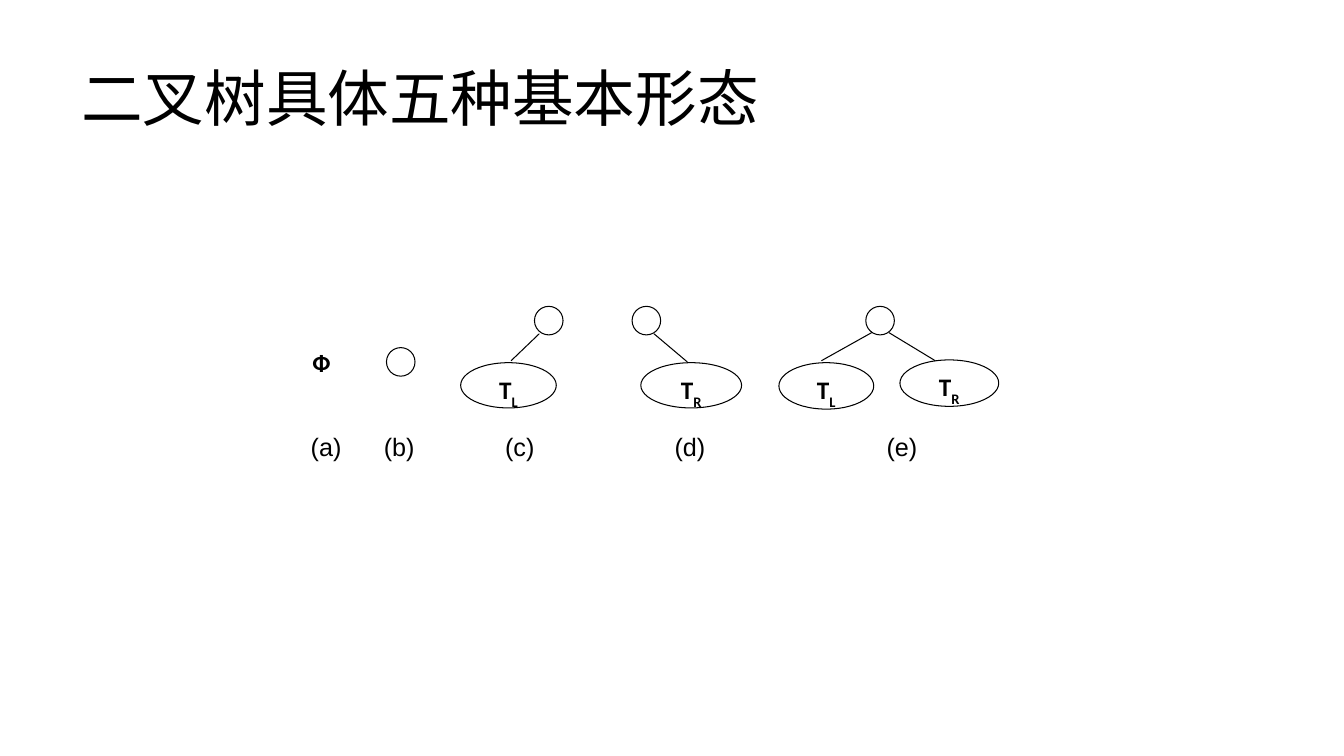
from dataclasses import dataclass

from lxml import etree
from pptx import Presentation
from pptx.dml.color import RGBColor
from pptx.enum.shapes import MSO_CONNECTOR, MSO_SHAPE
from pptx.enum.text import MSO_ANCHOR, PP_ALIGN
from pptx.oxml.ns import qn
from pptx.util import Cm, Pt

OVAL, RECT = MSO_SHAPE.OVAL, MSO_SHAPE.RECTANGLE
STRAIGHT = MSO_CONNECTOR.STRAIGHT
TOP, MIDDLE = MSO_ANCHOR.TOP, MSO_ANCHOR.MIDDLE
LEFT, CENTER = PP_ALIGN.LEFT, PP_ALIGN.CENTER

COLORS = {"ink": "000000", "paper": "FFFFFF"}
TITLE_FONT = {"name": "Arial", "size": Pt(44)}
CAPTION_FONT = {"name": "Arial", "size": Pt(18)}
TREE_FONT = {"name": "Calibri", "size": Pt(18), "bold": True}
NO_INSETS = {"margin_left": 0, "margin_top": 0, "margin_right": 0, "margin_bottom": 0}
LINE_WIDTH = Pt(0.75)
NODE_SIZE = 0.72
CAPTION_LEFT, INSET = 6.88, 0.25


@dataclass
class Box:
    """Place and size in centimetres."""
    left: float
    top: float
    width: float
    height: float

    def lengths(self):
        """Return the four values as slide lengths."""
        return [Cm(v) for v in (self.left, self.top, self.width, self.height)]


@dataclass
class Subtree:
    """An oval that stands for a left or right subtree."""
    box: Box
    side: str


@dataclass
class Branch:
    """A line from a root node down to a subtree."""
    x1: float
    y1: float
    x2: float
    y2: float


@dataclass
class Caption:
    """A form's letter and the centre it stands under."""
    text: str
    center: float


ROOTS = [Box(x, y, NODE_SIZE, NODE_SIZE)
         for x, y in ((9.74, 8.76), (13.47, 7.72), (15.93, 7.72), (21.82, 7.72))]
SUBTREES = [
    Subtree(Box(11.61, 9.14, 2.41, 1.14), "L"),
    Subtree(Box(16.15, 9.14, 2.54, 1.14), "R"),
    Subtree(Box(19.63, 9.14, 2.39, 1.17), "L"),
    Subtree(Box(22.68, 9.07, 2.49, 1.17), "R"),
]
BRANCHES = [
    Branch(13.59, 8.41, 12.88, 9.09),
    Branch(16.48, 8.41, 17.32, 9.12),
    Branch(21.97, 8.38, 20.7, 9.09),
    Branch(22.4, 8.38, 23.57, 9.09),
]
CAPTIONS = [Caption("(a)", 8.22), Caption("(b)", 10.06), Caption("(c)", 13.1),
            Caption("(d)", 17.39), Caption("(e)", 22.73)]


def apply(target, values: dict) -> None:
    """Set every attribute named in values."""
    for name, value in values.items():
        setattr(target, name, value)


def rgb(name: str) -> RGBColor:
    """Look up a colour of the slide."""
    return RGBColor.from_string(COLORS[name])


def add_run(paragraph, text: str, font: dict):
    """Add text in the given font."""
    run = paragraph.add_run()
    run.text = text
    apply(run.font, font)
    run.font.color.rgb = rgb("ink")
    return run


def add_figure(shapes, kind, box: Box, line: str = "ink"):
    """Draw a white outlined shape, ready for text at its top."""
    figure = shapes.add_shape(kind, *box.lengths())
    figure.shadow.inherit = False
    figure.fill.solid()
    figure.fill.fore_color.rgb = rgb("paper")
    figure.line.color.rgb = rgb(line)
    figure.line.width = LINE_WIDTH
    figure.text_frame.vertical_anchor = TOP
    return figure


def add_subtree(shapes, subtree: Subtree) -> None:
    """Draw a subtree oval with its subscripted name."""
    paragraph = add_figure(shapes, OVAL, subtree.box).text_frame.paragraphs[0]
    paragraph.alignment = CENTER
    add_run(paragraph, "T", TREE_FONT)
    side = add_run(paragraph, subtree.side, TREE_FONT)
    side.font._element.set("baseline", "-30000")


def add_branch(shapes, branch: Branch) -> None:
    """Draw a branch without a shadow."""
    ends = [Cm(v) for v in (branch.x1, branch.y1, branch.x2, branch.y2)]
    line = shapes.add_connector(STRAIGHT, *ends)
    line.line.color.rgb = rgb("ink")
    line.line.width = LINE_WIDTH
    etree.SubElement(line._element.spPr, qn("a:effectLst"))


def add_text(shapes, box: Box, text: str, font: dict, anchor):
    """Add a wrapped text box and return its paragraph."""
    frame = shapes.add_textbox(*box.lengths()).text_frame
    apply(frame, {"word_wrap": True, "vertical_anchor": anchor})
    add_run(frame.paragraphs[0], text, font)
    return frame.paragraphs[0]


def add_captions(shapes, captions: list[Caption]) -> None:
    """Write the captions in one row on centred tab stops."""
    row = add_text(shapes, Box(CAPTION_LEFT, 10.74, 18.39, 1.02),
                   "".join("\t" + c.text for c in captions), CAPTION_FONT, TOP)
    stops = etree.SubElement(row._p.get_or_add_pPr(), qn("a:tabLst"))
    for caption in captions:
        position = Cm(caption.center - CAPTION_LEFT - INSET)
        etree.SubElement(stops, qn("a:tab"), pos=str(int(position)), algn="ctr")


def main() -> None:
    """Build the slide."""
    deck = Presentation()
    apply(deck, {"slide_width": Cm(33.87), "slide_height": Cm(19.05)})
    shapes = deck.slides.add_slide(deck.slide_layouts[6]).shapes

    title = add_text(shapes, Box(1.8, 0.71, 29.21, 3.68),
                     "二叉树具体五种基本形态", TITLE_FONT, MIDDLE)
    title.line_spacing = 0.9

    for root in ROOTS:
        add_figure(shapes, OVAL, root)
    empty_tree = add_figure(shapes, RECT, Box(7.87, 8.76, 0.99, 1.04), "paper").text_frame
    apply(empty_tree, NO_INSETS)
    empty_tree.paragraphs[0].alignment = LEFT
    add_run(empty_tree.paragraphs[0], "Ф", TREE_FONT)
    for subtree in SUBTREES:
        add_subtree(shapes, subtree)
    for branch in BRANCHES:
        add_branch(shapes, branch)
    add_captions(shapes, CAPTIONS)
    deck.save("out.pptx")


main()
